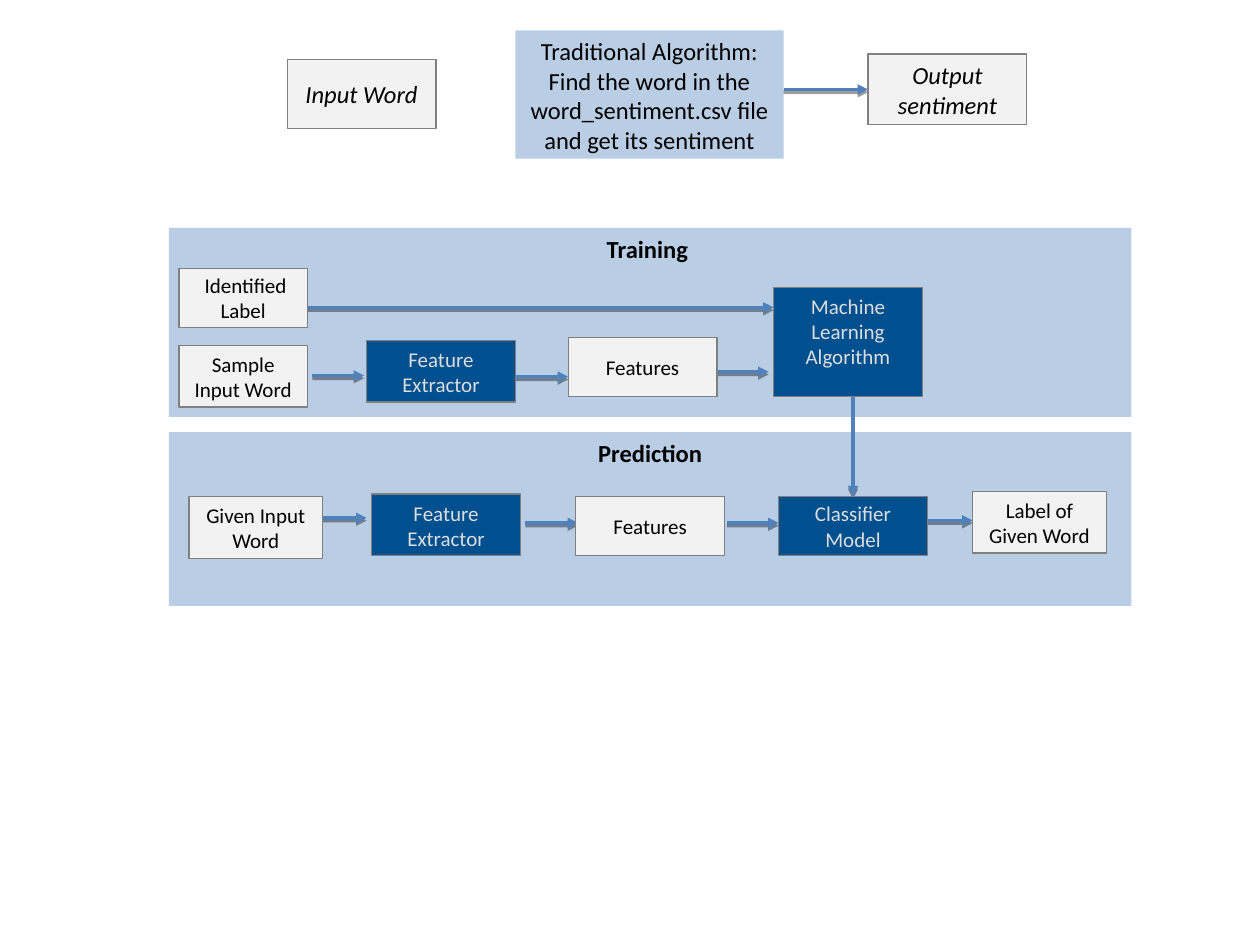
"""Build a slide comparing a lookup algorithm with a machine learning pipeline."""
from lxml.etree import SubElement
from pptx import Presentation
from pptx.dml.color import RGBColor
from pptx.enum.shapes import MSO_CONNECTOR, MSO_SHAPE
from pptx.enum.text import MSO_ANCHOR, PP_ALIGN
from pptx.oxml.ns import qn
from pptx.util import Inches, Pt

PANEL_BLUE = RGBColor(0xB9, 0xCD, 0xE5)
DEEP_BLUE = RGBColor(0x00, 0x50, 0x8F)
ARROW_BLUE = RGBColor(0x4F, 0x81, 0xBD)
PALE_GREY = RGBColor(0xF2, 0xF2, 0xF2)
EDGE_GREY = RGBColor(0x80, 0x80, 0x80)
LIGHT_TEXT = RGBColor(0xDD, 0xDD, 0xDD)
BLACK = RGBColor(0, 0, 0)

DATA = {"fill": PALE_GREY, "edge": EDGE_GREY}
PROCESS = {"fill": DEEP_BLUE, "edge": EDGE_GREY, "color": LIGHT_TEXT}
PANEL = {"fill": PANEL_BLUE, "size": 14}
HEADED = {**PANEL, "bold": True}
ENDPOINT = {**DATA, "size": 14, "italic": True}
MIDDLE = {"anchor": MSO_ANCHOR.MIDDLE}

PANELS = [
    ("Traditional Algorithm:\nFind the word in the word_sentiment.csv file and get its sentiment",
     (4.09, 0.24, 2.13, 1.02), PANEL),
    ("Training ", (1.34, 1.81, 7.64, 1.5), HEADED),
    ("Prediction", (1.34, 3.43, 7.64, 1.38), HEADED),
]
STEPS = [
    ("Input Word", (2.28, 0.47, 1.18, 0.55), {**ENDPOINT, **MIDDLE}),
    ("Output sentiment", (6.89, 0.43, 1.26, 0.56), ENDPOINT),
    (" Identified Label", (1.42, 2.13, 1.02, 0.47), {**DATA, **MIDDLE}),
    ("Sample Input Word", (1.42, 2.74, 1.02, 0.49), DATA),
    ("Feature Extractor", (2.91, 2.7, 1.18, 0.49), PROCESS),
    ("Features", (4.51, 2.68, 1.18, 0.47), {**DATA, **MIDDLE}),
    ("Machine Learning Algorithm", (6.14, 2.28, 1.18, 0.87), PROCESS),
    ("Given Input Word", (1.5, 3.94, 1.06, 0.49), DATA),
    ("Feature Extractor", (2.95, 3.92, 1.18, 0.49), PROCESS),
    ("Features", (4.57, 3.94, 1.18, 0.47), {**DATA, **MIDDLE}),
    ("Classifier Model", (6.18, 3.94, 1.18, 0.47), {**PROCESS, **MIDDLE}),
    ("Label of Given Word", (7.72, 3.9, 1.06, 0.49), DATA),
]
ARROWS = [
    (6.22, 0.71, 6.89, 0.71),
    (2.44, 2.44, 6.14, 2.44),
    (2.48, 2.98, 2.89, 2.98),
    (4.09, 2.99, 4.51, 2.99),
    (5.69, 2.95, 6.1, 2.95),
    (6.77, 3.15, 6.77, 3.94),
    (2.56, 4.11, 2.91, 4.11),
    (4.17, 4.15, 4.59, 4.15),
    (5.77, 4.15, 6.18, 4.15),
    (7.36, 4.13, 7.72, 4.13),
]


def add_box(page, text, place, fill, edge=None, color=BLACK, size=12,
            bold=False, italic=False, anchor=MSO_ANCHOR.TOP):
    box = page.shapes.add_shape(MSO_SHAPE.RECTANGLE, *map(Inches, place))
    box.shadow.inherit = False
    box.fill.solid()
    box.fill.fore_color.rgb = fill
    if edge is None:
        box.line.fill.background()
    else:
        box.line.color.rgb = edge
        box.line.width = Pt(0.75)
    frame = box.text_frame
    frame.word_wrap = True
    frame.vertical_anchor = anchor
    frame.text = text
    for para in frame.paragraphs:
        para.alignment = PP_ALIGN.CENTER
        for span in para.runs:
            font = span.font
            font.name, font.size = "Calibri", Pt(size)
            font.bold, font.italic = bold, italic
            font.color.rgb = color


def add_arrow(page, ends):
    arrow = page.shapes.add_connector(MSO_CONNECTOR.STRAIGHT, *map(Inches, ends))
    arrow.line.color.rgb = ARROW_BLUE
    arrow.line.width = Pt(2)
    SubElement(arrow.line._get_or_add_ln(), qn("a:tailEnd"), type="triangle")
    effects = SubElement(arrow._element.spPr, qn("a:effectLst"))
    shadow = SubElement(effects, qn("a:outerShdw"), blurRad="0", dist=str(Pt(1.6)),
                        dir="5400000", rotWithShape="0")
    shade = SubElement(shadow, qn("a:srgbClr"), val=str(BLACK))
    SubElement(shade, qn("a:alpha"), val="38000")


deck = Presentation()
deck.slide_width, deck.slide_height = Inches(10), Inches(7.5)
page = deck.slides.add_slide(deck.slide_layouts[6])
for text, place, style in PANELS:
    add_box(page, text, place, **style)
for ends in ARROWS:
    add_arrow(page, ends)
for text, place, style in STEPS:
    add_box(page, text, place, **style)
deck.save("out.pptx")
